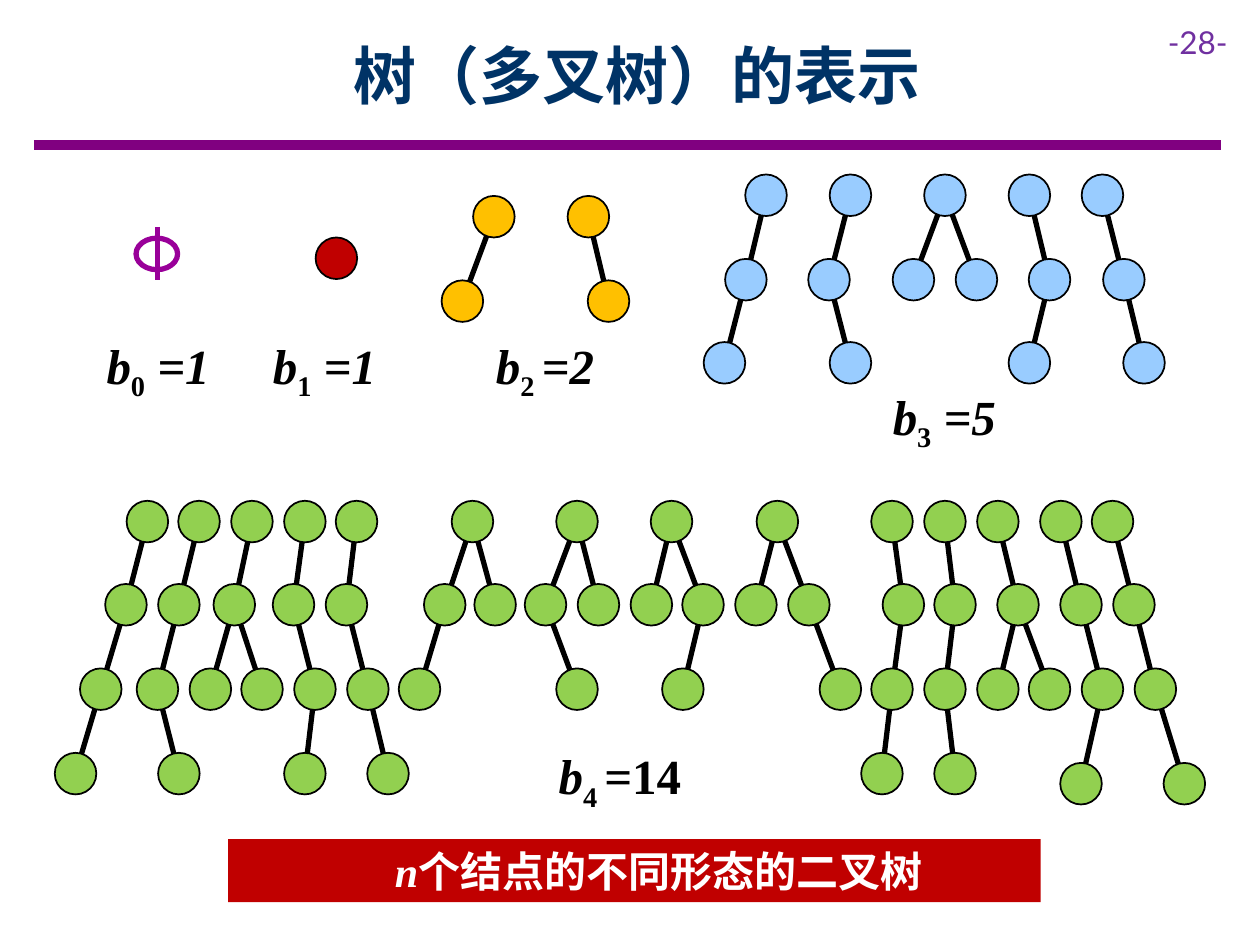
from pptx import Presentation
from pptx.dml.color import RGBColor
from pptx.enum.shapes import MSO_CONNECTOR as CONN, MSO_SHAPE as SHAPE
from pptx.enum.text import MSO_ANCHOR as ANCHOR, PP_ALIGN as ALIGN
from pptx.oxml.ns import qn
from pptx.util import Inches, Pt

SERIF, SANS = "Times New Roman", "Noto Sans CJK SC"
NODE = 0.33
ROWS = (4.14, 4.8, 5.47, 6.14)

# Each tree is (centre x, child, child); each family is (fill, row centres, trees).
FAMILIES = [
    ("C00000", (2.05,), [(2.67,)]),
    ("FFC000", (1.72, 2.39), [(3.92, (3.67,)), (4.67, (4.83,))]),
    ("99CCFF", (1.55, 2.22, 2.88), [
        (6.08, (5.92, (5.75,))),
        (6.75, (6.58, (6.75,))),
        (7.5, (7.25,), (7.75,)),
        (8.17, (8.33, (8.17,))),
        (8.75, (8.92, (9.08,))),
    ]),
    ("92D050", ROWS, [
        (1.17, (1.0, (0.8, (0.6,)))),
        (1.58, (1.42, (1.25, (1.42,)))),
        (2.0, (1.86, (1.67,), (2.08,))),
        (2.42, (2.33, (2.5, (2.42,)))),
        (2.83, (2.75, (2.92, (3.08,)))),
        (3.75, (3.53, (3.33,)), (3.93,)),
        (4.58, (4.33, (4.58,)), (4.75,)),
        (5.33, (5.17,), (5.58, (5.42,))),
        (6.17, (6.0,), (6.42, (6.67,))),
        (7.08, (7.17, (7.08, (7.0,)))),
        (7.5, (7.58, (7.5, (7.58,)))),
        (7.92, (8.08, (7.92,), (8.33,))),
    ]),
    ("92D050", ROWS[:3] + (6.22,), [
        (8.42, (8.58, (8.75, (8.58,)))),
        (8.83, (9.0, (9.17, (9.4,)))),
    ]),
]
COUNTS = [
    (0.73, 2.64, 1.05, "0", " =1", True),
    (2.05, 2.64, 1.05, "1", " =1", True),
    (3.8, 2.64, 1.05, "2 ", "=2", True),
    (6.97, 3.05, 1.05, "3", " =5", True),
    (4.32, 5.9, 1.2, "4 ", "=14", False),
]


def rgb(color):
    return RGBColor.from_string(color)


def add_run(p, text, size=28, font=SERIF, color="000000", bold=True, italic=False, base=0):
    r = p.add_run()
    r.text = text
    f = r.font
    f.size, f.name, f.bold, f.italic = Pt(size), font, bold, italic
    f.color.rgb = rgb(color)
    rPr = f._element
    if base:
        rPr.set("baseline", str(base * 1000))
    ea = rPr.makeelement(qn("a:ea"), {"typeface": font})
    rPr.find(qn("a:latin")).addnext(ea)


def add_line(s, x1, y1, x2, y2, color="000000", width=3):
    sp = s.shapes.add_connector(CONN.STRAIGHT, *map(Inches, (x1, y1, x2, y2)))
    sp.line.color.rgb = rgb(color)
    sp.line.width = Pt(width)
    spPr = sp._element.spPr
    spPr.append(spPr.makeelement(qn("a:effectLst"), {}))


def add_shape(s, kind, box, fill=None, line=None, width=1):
    sp = s.shapes.add_shape(kind, *map(Inches, box))
    sp.shadow.inherit = False
    for part, color in ((sp.fill, fill), (sp.line.fill, line)):
        if color:
            part.solid()
            part.fore_color.rgb = rgb(color)
        else:
            part.background()
    if line:
        sp.line.width = Pt(width)
    return sp


def add_text(s, box, wrap=False):
    tf = s.shapes.add_textbox(*map(Inches, box)).text_frame
    tf.word_wrap = wrap
    return tf


def draw_edges(s, tree, rows):
    x, *children = tree
    for child in children:
        add_line(s, x, rows[0], child[0], rows[1])
        draw_edges(s, child, rows[1:])


def draw_nodes(s, tree, rows, fill):
    x, *children = tree
    box = (x - NODE / 2, rows[0] - NODE / 2, NODE, NODE)
    add_shape(s, SHAPE.OVAL, box, fill, "000000")
    for child in children:
        draw_nodes(s, child, rows[1:], fill)


def main():
    """Build the slide of binary tree shapes for zero to four nodes."""
    prs = Presentation()
    prs.slide_width, prs.slide_height = Inches(10), Inches(7.5)
    s = prs.slides.add_slide(prs.slide_layouts[5])

    title = s.shapes.title
    title.left, title.top, title.width, title.height = map(Inches, (0.9, 0.09, 8.31, 1))
    title.text_frame.vertical_anchor = ANCHOR.MIDDLE
    p = title.text_frame.paragraphs[0]
    p.alignment = ALIGN.CENTER
    add_run(p, "树（多叉树）的表示", size=36, font=SANS, color="003366")
    add_line(s, 0.27, 1.15, 9.69, 1.15, "800080", 6)
    p = add_text(s, (9.17, 0.13, 0.83, 0.4), wrap=True).paragraphs[0]
    add_run(p, "-28-", size=18, font="Lato", color="7030A0", bold=False)

    add_shape(s, SHAPE.OVAL, (1.08, 1.89, 0.33, 0.25), line="990099", width=3)
    add_line(s, 1.25, 1.8, 1.25, 2.22, "990099")

    for fill, rows, trees in FAMILIES:
        for tree in trees:
            draw_edges(s, tree, rows)
            draw_nodes(s, tree, rows, fill)

    for left, top, width, index, count, italic in COUNTS:
        tf = add_text(s, (left, top, width, 0.57))
        tf.vertical_anchor = ANCHOR.MIDDLE
        p = tf.paragraphs[0]
        p.alignment = ALIGN.CENTER
        add_run(p, "b", italic=True)
        add_run(p, index, base=-25)
        add_run(p, count, italic=italic)

    tf = add_shape(s, SHAPE.RECTANGLE, (1.81, 6.66, 6.45, 0.5), "C00000").text_frame
    tf.margin_left = Inches(0.48)
    tf.vertical_anchor = ANCHOR.TOP
    p = tf.paragraphs[0]
    p.alignment = ALIGN.CENTER
    add_run(p, "n", size=24, color="FFFFFF", italic=True)
    add_run(p, "个结点的不同形态的二叉树", size=24, font=SANS, color="FFFFFF")

    prs.save("out.pptx")


if __name__ == "__main__":
    main()
